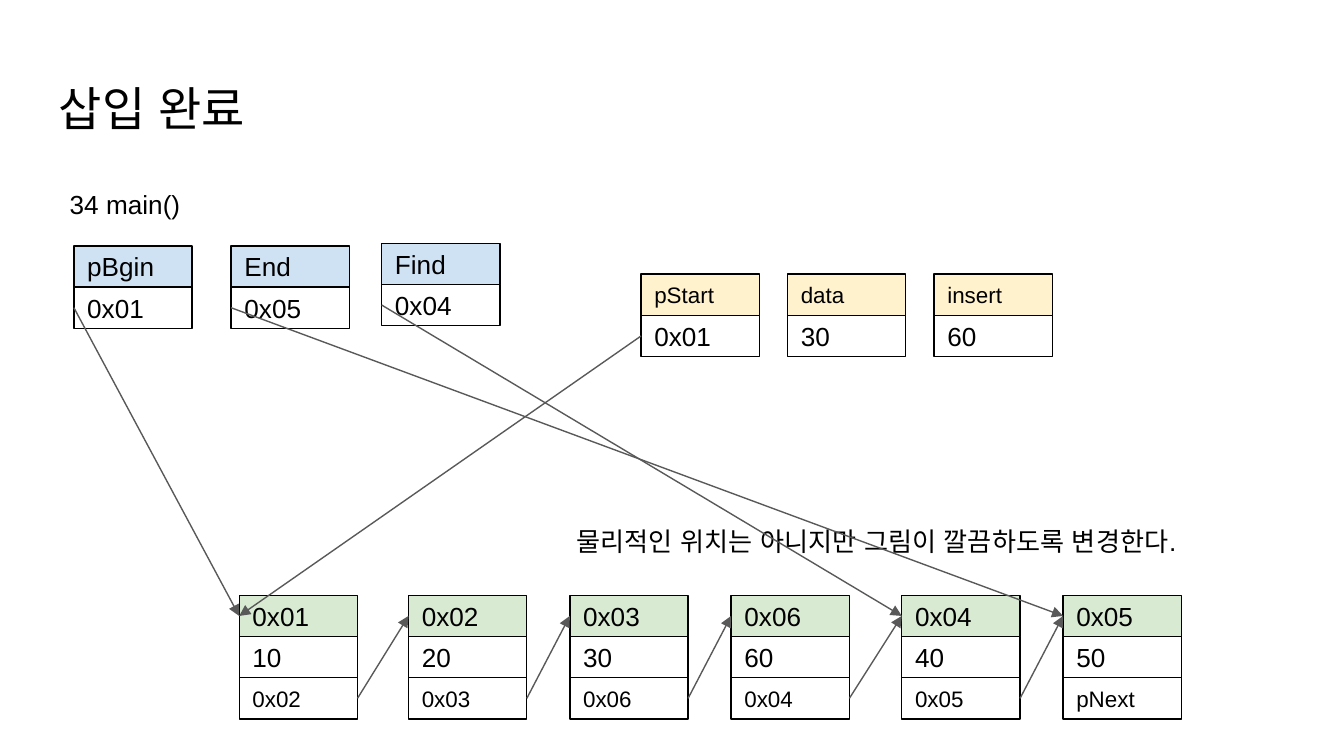
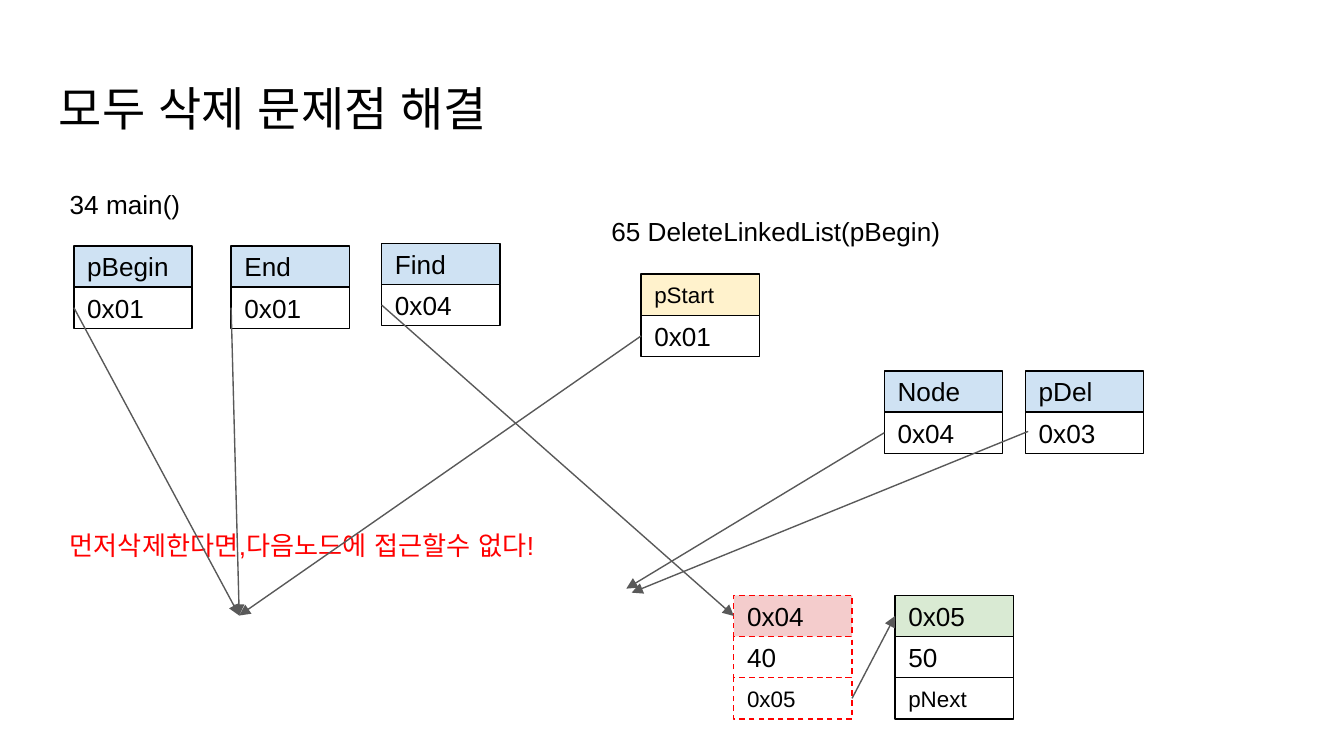
from dataclasses import dataclass

import pptx
import pptx.dml.color
import pptx.enum.dml
import pptx.enum.shapes
import pptx.enum.text
import pptx.oxml
import pptx.oxml.ns
import pptx.util
from pptx.util import Inches

COLORS = {
    "text": "000000",
    "white": "FFFFFF",
    "blue": "CFE2F3",
    "yellow": "FFF2CC",
    "green": "D9EAD3",
    "pink": "F4CCCC",
    "red": "FF0000",
    "arrow": "595959",
}
FONT = "Arial"
CELL_W = 0.88
CELL_H = 0.92 / 3
NODE_TOP = 4.43
VAR_TOP = 1.83
ARG_TOP = 2.04
LEFT_SITE, RIGHT_SITE = 1, 3


@dataclass(frozen=True)
class Style:
    fill: str
    sizes: tuple[int, ...]
    line: str = "text"
    dashed: bool = False


@dataclass(frozen=True)
class Block:
    left: float
    top: float
    cells: tuple[str, ...]
    style: Style


@dataclass(frozen=True)
class Label:
    left: float
    top: float
    width: float
    text: str
    height: float = 0.44
    size: float = 14
    color: str = "text"


VARIABLE = Style("blue", (14, 14))
ARGUMENT = Style("yellow", (12, 14))
NODE = Style("green", (14, 14, 12))
DELETED = Style("pink", (14, 14, 12), "red", True)
MAIN = Label(0.42, 1.3, 5.49, "34 main()")


def rgb(name: str) -> pptx.dml.color.RGBColor:
    return pptx.dml.color.RGBColor.from_string(COLORS[name])


def add_xml(parent, tag: str, **attributes: str) -> None:
    parent.append(parent.makeelement(pptx.oxml.ns.qn(tag), attributes))


def set_text(sp, text: str, size: float, color: str = "text") -> None:
    tf = sp.text_frame
    tf.text = text
    tf.word_wrap = True
    tf.margin_left = tf.margin_right = Inches(0.1)
    tf.margin_top = tf.margin_bottom = Inches(0.1)
    p = tf.paragraphs[0]
    p.alignment = pptx.enum.text.PP_ALIGN.LEFT
    for r in p.runs:
        r.font.name = FONT
        r.font.size = pptx.util.Pt(size)
        r.font.color.rgb = rgb(color)
        for tag in ("a:ea", "a:cs"):
            add_xml(r._r.get_or_add_rPr(), tag, typeface=FONT)


def add_label(s, label: Label) -> None:
    sp = s.shapes.add_textbox(Inches(label.left), Inches(label.top),
                              Inches(label.width), Inches(label.height))
    set_text(sp, label.text, label.size, label.color)


def add_block(s, block: Block) -> list:
    style = block.style
    group = s.shapes.add_group_shape()
    cells = []
    for row, (text, size) in enumerate(zip(block.cells, style.sizes)):
        sp = group.shapes.add_shape(
            pptx.enum.shapes.MSO_SHAPE.RECTANGLE,
            Inches(block.left), Inches(block.top + row * CELL_H),
            Inches(CELL_W), Inches(CELL_H))
        sp.shadow.inherit = False
        sp.fill.solid()
        sp.fill.fore_color.rgb = rgb("white" if row else style.fill)
        sp.line.color.rgb = rgb(style.line)
        sp.line.width = pptx.util.Pt(0.75)
        if style.dashed:
            sp.line.dash_style = pptx.enum.dml.MSO_LINE.DASH
        set_text(sp, text, size)
        sp.text_frame.vertical_anchor = pptx.enum.text.MSO_ANCHOR.MIDDLE
        cells.append(sp)
    return cells


def add_arrow(s, start: tuple[float, float] = (0, 0),
              end: tuple[float, float] = (0, 0)):
    cxn = s.shapes.add_connector(
        pptx.enum.shapes.MSO_CONNECTOR.STRAIGHT,
        *(Inches(v) for v in start + end))
    cxn.line.color.rgb = rgb("arrow")
    cxn.line.width = pptx.util.Pt(0.75)
    add_xml(cxn.line._get_or_add_ln(), "a:tailEnd", type="triangle")
    add_xml(cxn._element.spPr, "a:effectLst")
    return cxn


def link(s, source: list, target: list, site: int = LEFT_SITE) -> None:
    cxn = add_arrow(s)
    cxn.begin_connect(source[-1], site)
    cxn.end_connect(target[0], LEFT_SITE)


def point_at(s, source: list, spot: tuple[float, float]) -> None:
    cxn = add_arrow(s, end=spot)
    cxn.begin_connect(source[-1], LEFT_SITE)


def add_slide(prs, title: str, labels: list[Label]):
    s = prs.slides.add_slide(prs.slide_layouts[6])
    add_label(s, Label(0.34, 0.49, 9.32, title, 0.63, 25.2))
    for label in [MAIN, *labels]:
        add_label(s, label)
    return s


def add_variables(s, begin: str, end_value: str) -> list[list]:
    return [add_block(s, Block(left, top, cells, VARIABLE))
            for left, top, cells in (
                (0.55, VAR_TOP, (begin, "0x01")),
                (1.72, VAR_TOP, ("End", end_value)),
                (2.84, 1.81, ("Find", "0x04")))]


def add_arguments(s, arguments: list[tuple[str, str]]) -> list[list]:
    return [add_block(s, Block(4.77 + 1.09 * i, ARG_TOP, cells, ARGUMENT))
            for i, cells in enumerate(arguments)]


def add_chain(s, blocks: list[Block]) -> list[list]:
    nodes = [add_block(s, block) for block in blocks]
    for node, following in zip(nodes, nodes[1:]):
        link(s, node, following, RIGHT_SITE)
    return nodes


def build_insert_done(prs) -> None:
    s = add_slide(prs, "삽입 완료", [
        Label(4.19, 3.81, 5.63,
              "물리적인 위치는 아니지만 그림이 깔끔하도록 변경한다.")])
    begin, end, find = add_variables(s, "pBgin", "0x05")
    start, _, _ = add_arguments(
        s, [("pStart", "0x01"), ("data", "30"), ("insert", "60")])
    lefts = (1.78, 3.04, 4.24, 5.44, 6.71, 7.91)
    addresses = ("0x01", "0x02", "0x03", "0x06", "0x04", "0x05")
    values = ("10", "20", "30", "60", "40", "50")
    nexts = addresses[1:] + ("pNext",)
    nodes = add_chain(s, [
        Block(left, NODE_TOP, tuple(cells), NODE)
        for left, *cells in zip(lefts, addresses, values, nexts)])
    for source, target in ((begin, 0), (start, 0), (end, 5), (find, 4)):
        link(s, source, nodes[target])


def build_delete_fix(prs) -> None:
    s = add_slide(prs, "모두 삭제 문제점 해결", [
        Label(4.45, 1.5, 4.02, "65 DeleteLinkedList(pBegin)"),
        Label(0.42, 3.84, 4.47, "먼저삭제한다면,다음노드에 접근할수 없다!",
              color="red")])
    begin, end, find = add_variables(s, "pBegin", "0x01")
    (start,) = add_arguments(s, [("pStart", "0x01")])
    node = add_block(s, Block(6.58, 2.76, ("Node", "0x04"), VARIABLE))
    add_block(s, Block(7.63, 2.76, ("pDel", "0x03"), VARIABLE))
    nodes = add_chain(s, [
        Block(5.46, NODE_TOP, ("0x04", "40", "0x05"), DELETED),
        Block(6.66, NODE_TOP, ("0x05", "50", "pNext"), NODE)])
    link(s, find, nodes[0])
    for source in (begin, end, start):
        point_at(s, source, (1.78, 4.58))
    point_at(s, node, (4.66, 4.38))
    add_arrow(s, (7.65, 3.21), (4.7, 4.41))


def main() -> None:
    prs = pptx.Presentation()
    prs.slide_width = Inches(10)
    prs.slide_height = Inches(10 * 9 / 16)
    build_insert_done(prs)
    build_delete_fix(prs)
    prs.save("out.pptx")


if __name__ == "__main__":
    main()
